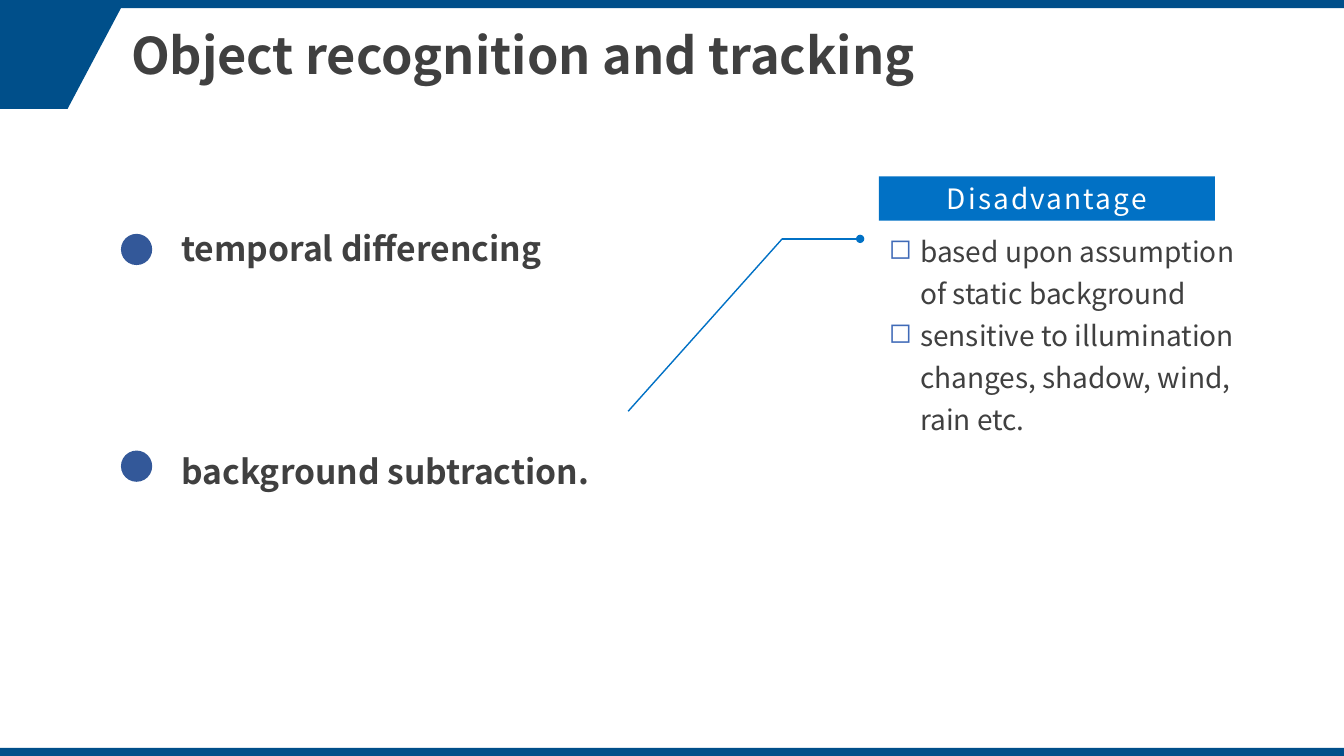
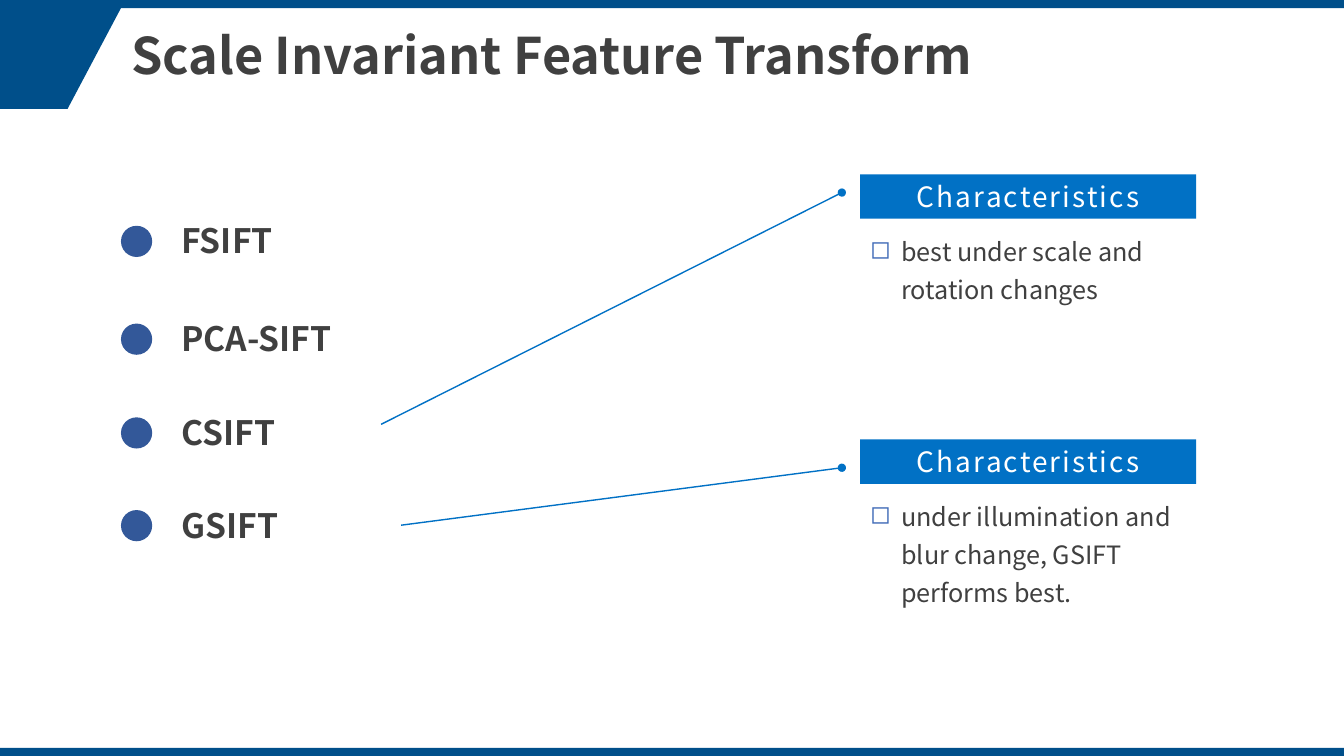
from dataclasses import dataclass

from lxml.etree import SubElement
from pptx import Presentation
from pptx.dml.color import RGBColor as RGB
from pptx.enum.shapes import MSO_CONNECTOR as LINE, MSO_SHAPE as SHAPE
from pptx.enum.text import MSO_ANCHOR as ANCHOR, MSO_AUTO_SIZE as FIT, PP_ALIGN as ALIGN
from pptx.oxml.ns import qn
from pptx.util import Inches, Pt


@dataclass(frozen=True)
class Theme:
    font: str = "Noto Sans CJK SC"
    band: str = "004F8A"
    dot: str = "335899"
    accent: str = "0171C5"
    bullet: str = "3F6AB7"
    ink: str = "404040"
    paper: str = "FFFFFF"
    title: int = 36
    item: int = 24
    text: int = 20
    small: int = 18


T = Theme()
WIDTH, HEIGHT = Inches(13.33), Inches(7.5)
BAND, HEADER = 1.07, 13.33
MARGIN, ITEM_X = 9, 12.75
DOT, ITEM_H = Inches(0.31), 8
TAG_W, TAG_H = 25, 5.87


def across(pct):
    return round(WIDTH * pct / 100)


def down(pct):
    return round(HEIGHT * pct / 100)


def box(x, y, w, h):
    return across(x), down(y), across(w), down(h)


def put_text(tf, text, *, size=T.text, color=T.ink, bold=False, align=ALIGN.LEFT,
             spacing=1.0, tracking=0, bulleted=False, anchor=ANCHOR.TOP):
    tf.word_wrap = True
    tf.auto_size = FIT.NONE
    tf.vertical_anchor = anchor
    lines = [text] if isinstance(text, str) else text
    for i, line in enumerate(lines):
        p = tf.add_paragraph() if i else tf.paragraphs[0]
        if bulleted:
            add_bullet(p)
        p.alignment = align
        p.line_spacing = spacing
        r = p.add_run()
        r.text = line
        r.font.name = T.font
        r.font.size = Pt(size)
        r.font.bold = bold
        r.font.color.rgb = RGB.from_string(color)
        if tracking:
            r.font._element.set("spc", str(round(tracking * 100)))


def add_bullet(p):
    pPr = p._p.get_or_add_pPr()
    indent = Inches(0.31)
    pPr.set("marL", str(indent))
    pPr.set("indent", str(-indent))
    color = SubElement(pPr, qn("a:buClr"))
    SubElement(color, qn("a:srgbClr")).set("val", T.bullet)
    SubElement(pPr, qn("a:buChar")).set("char", "◻")


def paint(sp, color):
    sp.shadow.inherit = False
    sp.fill.solid()
    sp.fill.fore_color.rgb = RGB.from_string(color)
    sp.line.fill.background()
    return sp


def add_block(s, kind, rect, color):
    return paint(s.shapes.add_shape(kind, *rect), color)


def add_corner(s):
    bottom = BAND + HEADER
    outline = [(MARGIN, BAND), (5.03, bottom), (0, bottom)]
    builder = s.shapes.build_freeform(0, down(BAND))
    builder.add_line_segments([(across(x), down(y)) for x, y in outline], close=True)
    return paint(builder.convert_to_shape(), T.band)


def style_layout(layout, s):
    title = layout.placeholders[0]
    title.left, title.top, title.width, title.height = box(MARGIN, BAND, 84.17, HEADER)
    frame = [add_corner(s)]
    for y in (0, 100 - BAND):
        frame.append(add_block(s, SHAPE.RECTANGLE, box(0, y, 100, BAND), T.band))
    for sp in frame:
        title._element.addprevious(sp._element)


def add_title(s, text):
    put_text(s.shapes.title.text_frame, text, size=T.title, bold=True,
             spacing=0.9, anchor=ANCHOR.MIDDLE)


def add_item(s, middle, text, spacing=0.9):
    tb = s.shapes.add_textbox(*box(ITEM_X, middle + 0.2 - ITEM_H / 2, 50, ITEM_H))
    put_text(tb.text_frame, text, size=T.item, bold=True, spacing=spacing,
             anchor=ANCHOR.MIDDLE)
    add_block(s, SHAPE.OVAL, (across(MARGIN), down(middle) - DOT // 2, DOT, DOT), T.dot)


def add_callout(s, x, y, heading, points, *, w, h, gap=0, size=T.text):
    tag = add_block(s, SHAPE.RECTANGLE, box(x, y, TAG_W, TAG_H), T.accent)
    put_text(tag.text_frame, heading, color=T.paper, align=ALIGN.CENTER,
             tracking=1.5, anchor=ANCHOR.MIDDLE)
    tb = s.shapes.add_textbox(*box(x, y + TAG_H + gap, w, h))
    put_text(tb.text_frame, points, size=size, spacing=1.25, bulleted=True)


def add_leader(s, *points):
    for (x1, y1), (x2, y2) in zip(points, points[1:]):
        line = s.shapes.add_connector(LINE.STRAIGHT, across(x1), down(y1),
                                      across(x2), down(y2))
        line.line.color.rgb = RGB.from_string(T.accent)
        line.line.width = Pt(1)
        SubElement(line._element.spPr, qn("a:effectLst"))
    SubElement(line.line._get_or_add_ln(), qn("a:tailEnd")).set("type", "oval")


def fill_tracking(s):
    add_title(s, "Object recognition and tracking")
    add_item(s, 33, "temporal differencing")
    add_item(s, 61.67, "background subtraction.", spacing=1.15)
    add_callout(s, 65.4, 23.33, "Disadvantage",
                ["based upon assumption of static background",
                 "sensitive to illumination changes, shadow, wind, rain etc."],
                w=29.55, h=28.93)
    add_leader(s, (46.74, 54.4), (58.2, 31.6), (64, 31.6))


def fill_sift(s):
    add_title(s, "Scale Invariant Feature Transform")
    items = {"FSIFT": 31.93, "PCA-SIFT": 44.87, "CSIFT": 57.27, "GSIFT": 69.53}
    for text, middle in items.items():
        add_item(s, middle, text)
    callouts = [
        (23.07, "best under scale and rotation changes", 10.93, (28.36, 56.13), 25.47),
        (58.13, "under illumination and blur change, GSIFT performs best.", 16,
         (29.85, 69.47), 61.87),
    ]
    for y, text, h, start, end_y in callouts:
        add_callout(s, 64, y, "Characteristics", text, w=27.53, h=h, gap=0.67,
                    size=T.small)
        add_leader(s, start, (62.64, end_y))


def main():
    prs = Presentation()
    prs.slide_width, prs.slide_height = WIDTH, HEIGHT
    layout = prs.slide_layouts[5]
    tracking, sift = [prs.slides.add_slide(layout) for _ in range(2)]
    style_layout(layout, tracking)
    fill_tracking(tracking)
    fill_sift(sift)
    prs.save("out.pptx")


if __name__ == "__main__":
    main()
